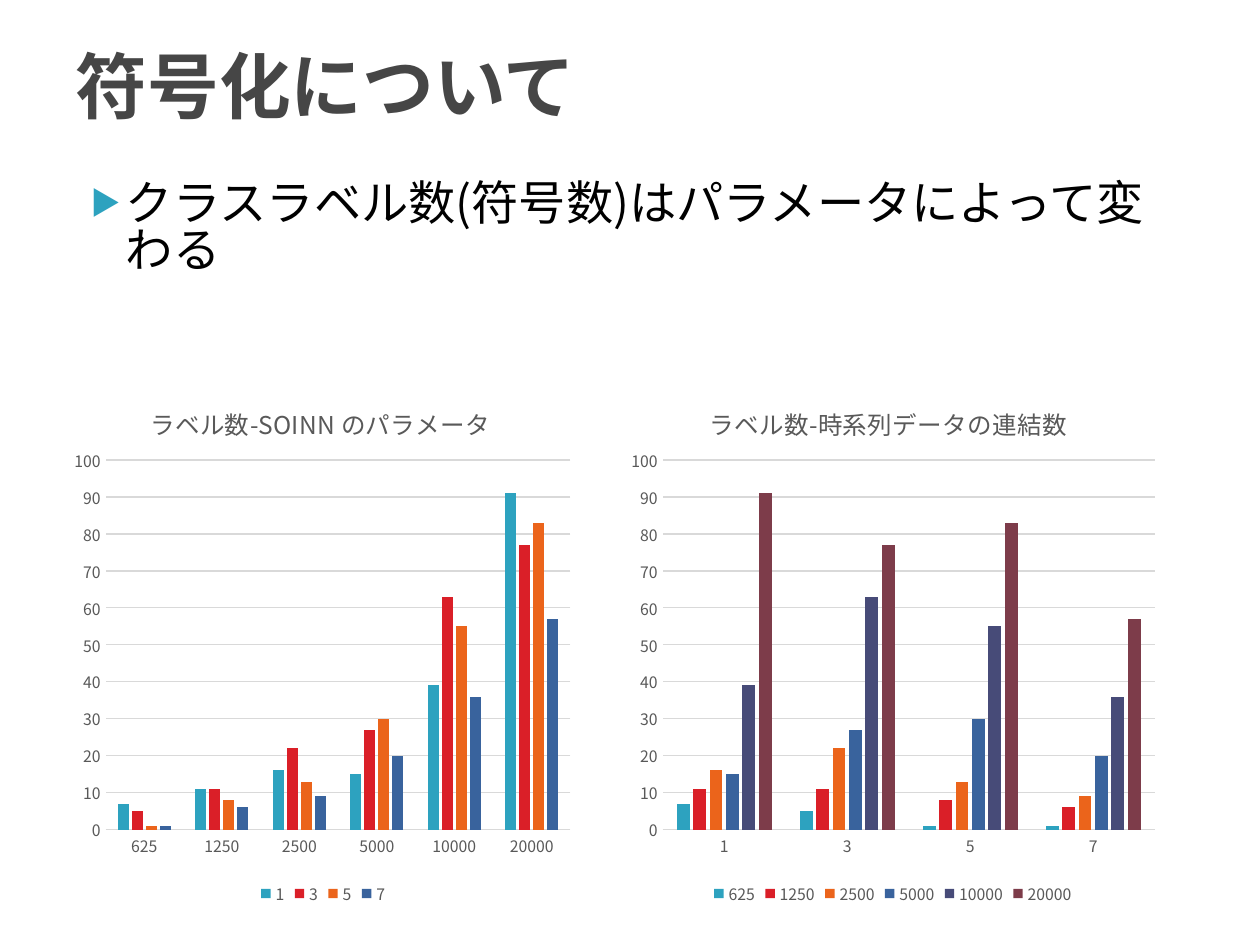
from dataclasses import dataclass

from lxml import etree
from pptx import Presentation
from pptx import util as u
from pptx.chart import data as cd
from pptx.dml import color
from pptx.enum import chart as ch
from pptx.enum import text
from pptx.oxml import ns, parse_xml


@dataclass(frozen=True)
class Theme:
    font: str = "Noto Sans CJK JP"
    heading: str = "464646"
    body: str = "000000"
    label: str = "595959"
    grid: str = "D9D9D9"
    series: tuple[str, ...] = ("2DA2BF", "DA1F28", "EB641B", "39639D", "474B78", "7D3C4A")
    title_pt: float = 41
    body_pt: float = 27
    chart_title_pt: float = 14
    label_pt: float = 9


@dataclass(frozen=True)
class Box:
    left: float
    top: float
    width: float
    height: float

    def lengths(self) -> tuple[u.Length, ...]:
        return tuple(u.Cm(v) for v in (self.left, self.top, self.width, self.height))


@dataclass(frozen=True)
class LabelChart:
    title: str
    box: Box
    cats: tuple[str, ...]
    names: tuple[str, ...]
    rows: tuple[tuple[int, ...], ...]


THEME = Theme()
NODES = ("625", "1250", "2500", "5000", "10000", "20000")
LINKS = ("1", "3", "5", "7")
COUNTS = (
    (7, 11, 16, 15, 39, 91),
    (5, 11, 22, 27, 63, 77),
    (1, 8, 13, 30, 55, 83),
    (1, 6, 9, 20, 36, 57),
)
CHARTS = (
    LabelChart("ラベル数-SOINN のパラメータ", Box(1.32, 7.52, 10.39, 10.82), NODES, LINKS, COUNTS),
    LabelChart("ラベル数-時系列データの連結数", Box(12.5, 7.52, 11, 10.82), LINKS, NODES, tuple(zip(*COUNTS))),
)


def style_font(font, size: float, rgb: str, bold: bool = False) -> None:
    font.size = u.Pt(size)
    font.bold = bold
    font.color.rgb = color.RGBColor.from_string(rgb)
    font.name = THEME.font
    latin = font._element.find(ns.qn("a:latin")) if hasattr(font, "_element") else font._rPr.find(ns.qn("a:latin"))
    ea = etree.Element(ns.qn("a:ea"), typeface=THEME.font)
    latin.addnext(ea)


def place(parent, **fractions: float) -> None:
    old = parent.find(ns.qn("c:layout"))
    if old is not None:
        parent.remove(old)
    modes = "".join(f'<c:{k}Mode val="edge"/>' for k in ("x", "y"))
    values = "".join(f'<c:{k} val="{v}"/>' for k, v in fractions.items())
    target = '<c:layoutTarget val="inner"/>' if "w" in fractions else ""
    layout = parse_xml(
        f'<c:layout {ns.nsdecls("c")}><c:manualLayout>{target}{modes}{values}</c:manualLayout></c:layout>'
    )
    tx = parent.find(ns.qn("c:tx"))
    if tx is None:
        parent.insert(0, layout)
    else:
        tx.addnext(layout)


def add_title(slide, words: str, box: Box) -> None:
    sp = slide.shapes.title
    sp.left, sp.top, sp.width, sp.height = box.lengths()
    tf = sp.text_frame
    tf.text = words
    tf.auto_size = text.MSO_AUTO_SIZE.NONE
    tf.vertical_anchor = text.MSO_ANCHOR.MIDDLE
    p = tf.paragraphs[0]
    p.alignment = text.PP_ALIGN.LEFT
    style_font(p.runs[0].font, THEME.title_pt, THEME.heading, True)


def add_bullet(slide, words: str, box: Box) -> None:
    tf = slide.shapes.add_textbox(*box.lengths()).text_frame
    tf.word_wrap = True
    p = tf.paragraphs[0]
    p.text = words
    p.line_spacing = 0.83
    pPr = p._p.get_or_add_pPr()
    pPr.set("marL", str(u.Cm(1.02)))
    pPr.set("indent", str(u.Cm(-0.71)))
    clr = etree.SubElement(pPr, ns.qn("a:buClr"))
    etree.SubElement(clr, ns.qn("a:srgbClr"), val=THEME.series[0])
    etree.SubElement(pPr, ns.qn("a:buSzPct"), val="65000")
    etree.SubElement(pPr, ns.qn("a:buFont"), typeface=THEME.font)
    etree.SubElement(pPr, ns.qn("a:buChar"), char="▶")
    style_font(p.runs[0].font, THEME.body_pt, THEME.body)


def style_axes(chart) -> None:
    cat, val = chart.category_axis, chart.value_axis
    for axis in (cat, val):
        axis.major_tick_mark = axis.minor_tick_mark = ch.XL_TICK_MARK.NONE
        style_font(axis.tick_labels.font, THEME.label_pt, THEME.label)
    val.minimum_scale, val.maximum_scale, val.major_unit = 0, 100, 10
    val.has_major_gridlines = True
    val.format.line.fill.background()
    for line in (cat.format.line, val.major_gridlines.format.line):
        line.color.rgb = color.RGBColor.from_string(THEME.grid)
        line.width = u.Pt(0.75)


def add_label_chart(slide, item: LabelChart) -> None:
    data = cd.CategoryChartData()
    data.categories = item.cats
    for name, row in zip(item.names, item.rows):
        data.add_series(name, row)
    chart = slide.shapes.add_chart(ch.XL_CHART_TYPE.COLUMN_CLUSTERED, *item.box.lengths(), data).chart
    style_font(chart.font, 10, THEME.body)

    chart.has_title = True
    title = chart.chart_title
    title.include_in_layout = False
    title.text_frame.text = item.title
    style_font(title.text_frame.paragraphs[0].runs[0].font, THEME.chart_title_pt, THEME.label)
    place(title._element, x=0.156, y=0.047)

    chart.has_legend = True
    chart.legend.position = ch.XL_LEGEND_POSITION.BOTTOM
    chart.legend.include_in_layout = False
    style_font(chart.legend.font, THEME.label_pt, THEME.label)

    style_axes(chart)
    plot = chart.plots[0]
    plot.gap_width, plot.overlap = 219, -27
    plot.vary_by_categories = False
    for series, rgb in zip(plot.series, THEME.series):
        series.format.fill.solid()
        series.format.fill.fore_color.rgb = color.RGBColor.from_string(rgb)
    place(chart._chartSpace.chart.plotArea, x=0.078, y=0.162, w=0.902, h=0.689)


def main() -> None:
    prs = Presentation()
    prs.slide_width, prs.slide_height = u.Cm(25.4), u.Cm(19.05)
    slide = prs.slides.add_slide(prs.slide_layouts[5])
    add_title(slide, "符号化について", Box(1.27, 0.13, 22.86, 3.18))
    add_bullet(slide, "クラスラベル数(符号数)はパラメータによって変わる", Box(1.27, 3.56, 22.86, 13.97))
    for item in CHARTS:
        add_label_chart(slide, item)
    prs.save("out.pptx")


if __name__ == "__main__":
    main()
